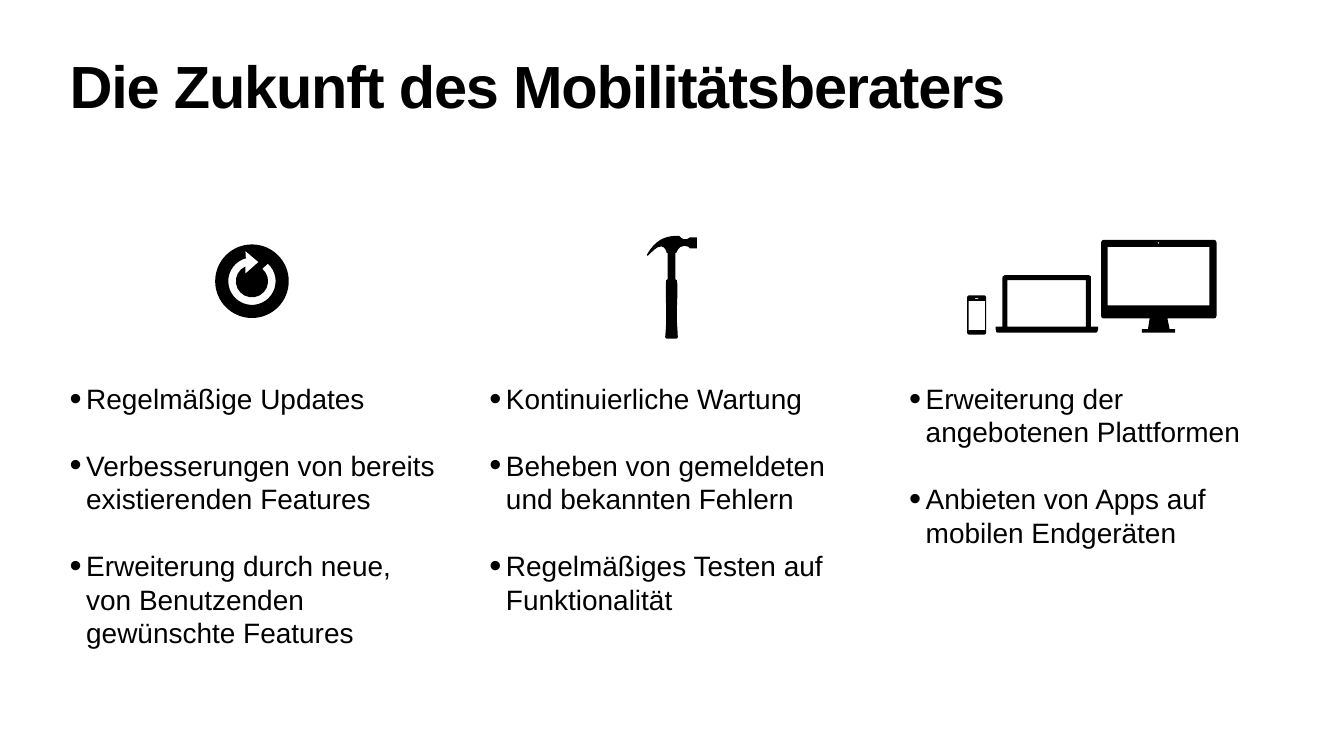
import math
from lxml import etree
from pptx import Presentation
from pptx import util as u
from pptx.dml.color import RGBColor
from pptx.enum import text
from pptx.oxml.ns import qn

FONT = "Arial"
BLACK = "000000"
MARGIN = 1.32
COLUMN_STEP = 8.33
COLUMN_WIDTH = 7.4
LIST_TOP = 7.51
LINE_PITCH = 47.8

COLUMNS = [
    (5.43, ["Regelmäßige Updates",
            "Verbesserungen von bereits existierenden Features",
            "Erweiterung durch neue, von Benutzenden gewünschte Features"]),
    (4.76, ["Kontinuierliche Wartung",
            "Beheben von gemeldeten und bekannten Fehlern",
            "Regelmäßiges Testen auf Funktionalität"]),
    (3.43, ["Erweiterung der angebotenen Plattformen",
            "Anbieten von Apps auf mobilen Endgeräten"]),
]


def color(value):
    return RGBColor.from_string(value)


def arc(x, y, radius, start=0, end=360):
    count = math.ceil(abs(end - start) / 90)
    turn = math.radians(end - start) / count
    reach = 4 / 3 * math.tan(turn / 4)

    def point(angle, pull=0):
        return (x + radius * (math.cos(angle) - pull * math.sin(angle)),
                y + radius * (math.sin(angle) + pull * math.cos(angle)))

    angles = [math.radians(start) + turn * i for i in range(count + 1)]
    return [point(angles[0])] + [point(a, reach) + point(b, -reach) + point(b)
                                 for a, b in zip(angles, angles[1:])]


def rectangle(left, top, width, height, radius=0):
    right, bottom = left + width, top + height
    if not radius:
        return [(left, top), (right, top), (right, bottom), (left, bottom)]
    return (arc(left + radius, top + radius, radius, 180, 270)
            + arc(right - radius, top + radius, radius, 270, 360)
            + arc(right - radius, bottom - radius, radius, 0, 90)
            + arc(left + radius, bottom - radius, radius, 90, 180))


def add_outline(page, left, top, contours):
    placed = [[tuple(u.Inches((top if i % 2 else left) + value) for i, value in enumerate(step))
               for step in contour] for contour in contours]
    builder = page.shapes.build_freeform(*placed[0][0])
    for number, contour in enumerate(placed):
        if number:
            builder.move_to(*contour[0])
        builder.add_line_segments([step[-2:] for step in contour[1:]], close=True)
    shape = builder.convert_to_shape()
    steps = [step for contour in placed for step in contour[1:]]
    for line, step in zip(list(shape._element.iter(qn("a:lnTo"))), steps):
        if len(step) == 6:
            bend_line(line, step, shape.left, shape.top)
    shape.shadow.inherit = False
    shape.fill.solid()
    shape.fill.fore_color.rgb = color(BLACK)
    shape.line.fill.background()


def bend_line(line, step, left, top):
    curve = etree.Element(qn("a:cubicBezTo"))
    for x, y in zip(step[::2], step[1::2]):
        point = etree.SubElement(curve, qn("a:pt"))
        point.set("x", str(x - left))
        point.set("y", str(y - top))
    line.getparent().replace(line, curve)


def add_update_icon(page, left, top):
    center = 0.73
    arrow = (arc(center, center, 0.47, -48, 255)
             + [(0.6, 0.13), (0.86, 0.35), (0.6, 0.58), (0.6, 0.44)]
             + arc(center, center, 0.32, 246, -50))
    add_outline(page, left, top, [arc(center, center, center), arrow])


def add_hammer_icon(page, left, top):
    hammer = [
        (0.56, 0), (0.36, 0.01, 0.16, 0.08, 0, 0.37), (-0.01, 0.39, 0.01, 0.4, 0.02, 0.39),
        (0.1, 0.32, 0.18, 0.21, 0.28, 0.21), (0.37, 0.21, 0.39, 0.34, 0.39, 0.34),
        (0.41, 0.34), (0.41, 0.86), (0.4, 0.86, 0.39, 0.87, 0.38, 0.88),
        (0.36, 1, 0.38, 1.34, 0.38, 1.56), (0.38, 1.74, 0.37, 1.92, 0.36, 2),
        (0.36, 2.02, 0.37, 2.04, 0.39, 2.04), (0.58, 2.04),
        (0.6, 2.04, 0.62, 2.02, 0.61, 2), (0.61, 1.92, 0.59, 1.74, 0.59, 1.56),
        (0.59, 1.34, 0.62, 1, 0.59, 0.88), (0.59, 0.87, 0.57, 0.86, 0.56, 0.86),
        (0.56, 0.34), (0.58, 0.34), (0.58, 0.34, 0.62, 0.2, 0.73, 0.2),
        (0.84, 0.2, 0.85, 0.25, 0.85, 0.25), (0.99, 0.25), (0.99, 0.03), (0.85, 0.03),
        (0.85, 0.03, 0.75, 0.14, 0.64, 0)]
    add_outline(page, left, top, [hammer])


def add_device_icons(page, left, top):
    phone = [rectangle(0, 0, 0.38, 0.78, 0.04),
             rectangle(0.15, 0.05, 0.08, 0.02, 0.01),
             rectangle(0.03, 0.11, 0.33, 0.58)]
    stand = [(1.32, 1.56), (1.32, 1.58), (1.36, 1.77), (1.47, 1.77), (1.47, 1.84),
             (0.81, 1.84), (0.81, 1.77), (0.93, 1.77), (0.96, 1.58), (0.97, 1.56)]
    body = rectangle(0, 0, 2.29, 1.56, 0.05)
    monitor = [body[:6] + stand + body[6:],
               arc(1.14, 0.06, 0.02), rectangle(0.13, 0.14, 2.02, 1.16)]
    laptop = [[(0.18, 0), (0.13, 0, 0.13, 0.04, 0.13, 0.09), (0.13, 1.02), (0, 1.02),
               (0, 1.08), (0, 1.14, 0.01, 1.14, 0.08, 1.14), (1.94, 1.14),
               (2.01, 1.14, 2.03, 1.14, 2.03, 1.08), (2.03, 1.02), (1.89, 1.02),
               (1.89, 0.09), (1.89, 0.04, 1.9, 0, 1.85, 0)],
              rectangle(0.23, 0.1, 1.56, 0.92)]
    add_outline(page, left, top + 1.1, phone)
    add_outline(page, left + 2.66, top, monitor)
    add_outline(page, left + 0.57, top + 0.7, laptop)


def place_frame(box, left, top, width, height):
    box.left, box.top = u.Inches(left), u.Inches(top)
    box.width, box.height = u.Inches(width), u.Inches(height)
    frame = box.text_frame
    frame.word_wrap = True
    frame.auto_size = text.MSO_AUTO_SIZE.NONE
    frame.vertical_anchor = text.MSO_ANCHOR.TOP
    frame.margin_left = frame.margin_right = u.Inches(0.06)
    frame.margin_top = frame.margin_bottom = u.Inches(0.06)
    return frame


def format_span(span, size, bold):
    span.font.name = FONT
    span.font.size = u.Pt(size)
    span.font.bold = bold
    span.font.color.rgb = color(BLACK)


def add_title(box, left, top, width, height):
    frame = place_frame(box, left, top, width, height)
    frame.text = "Die Zukunft des Mobilitätsberaters"
    para = frame.paragraphs[0]
    para.alignment = text.PP_ALIGN.LEFT
    para.line_spacing = 0.8
    format_span(para.runs[0], 85, True)
    para.runs[0].font._element.set("spc", "-170")


def add_bullet(para):
    properties = para._p.get_or_add_pPr()
    properties.set("marL", str(u.Inches(0.33)))
    properties.set("indent", str(u.Inches(-0.33)))
    etree.SubElement(properties, qn("a:buSzPct")).set("val", "123000")
    etree.SubElement(properties, qn("a:buFont")).set("typeface", FONT)
    etree.SubElement(properties, qn("a:buChar")).set("char", "•")


def add_list(box, left, top, width, height, items):
    frame = place_frame(box, left, top, width, height)
    frame.text = "\n".join(items)
    for number, para in enumerate(frame.paragraphs):
        add_bullet(para)
        para.alignment = text.PP_ALIGN.LEFT
        para.line_spacing = u.Pt(LINE_PITCH)
        para.space_before = u.Pt(LINE_PITCH if number else 0)
        para.space_after = u.Pt(0)
        format_span(para.runs[0], 40, False)


def main():
    deck = Presentation()
    deck.slide_width, deck.slide_height = u.Inches(26.67), u.Inches(15)
    page = deck.slides.add_slide(deck.slide_layouts.get_by_name("Comparison"))
    title, *bodies = list(page.placeholders)
    add_title(title, MARGIN, 1.18, 24.03, 1.57)
    for number, (box, (height, items)) in enumerate(zip(bodies, COLUMNS)):
        add_list(box, MARGIN + number * COLUMN_STEP, LIST_TOP, COLUMN_WIDTH, height, items)
    for spare in bodies[len(COLUMNS):]:
        spare._element.getparent().remove(spare._element)
    add_update_icon(page, 4.27, 4.85)
    add_hammer_icon(page, 12.84, 4.68)
    add_device_icons(page, 19.19, 4.76)
    deck.save("out.pptx")


if __name__ == "__main__":
    main()
